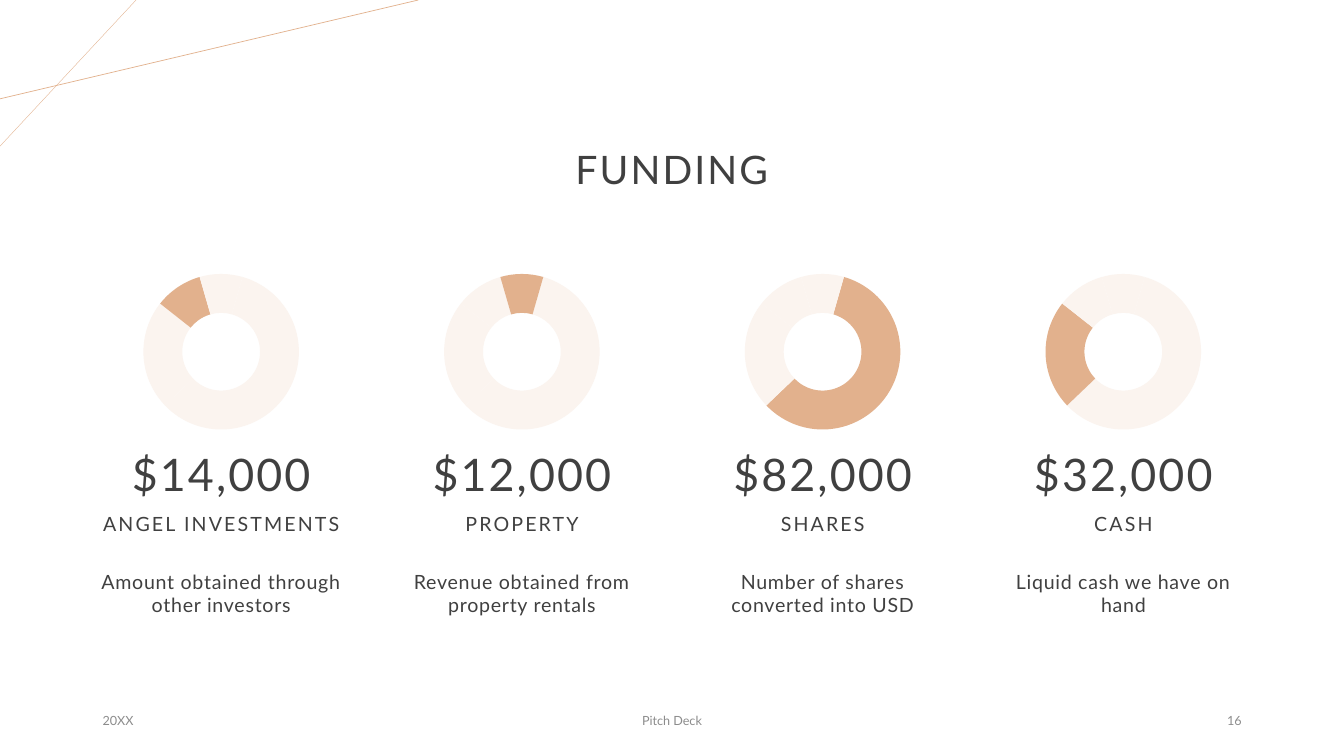
"""Build the Funding slide with four doughnut charts."""
from dataclasses import dataclass

from lxml.etree import SubElement
from pptx import Presentation
from pptx.chart.data import CategoryChartData
from pptx.dml.color import RGBColor
from pptx.enum.chart import XL_CHART_TYPE
from pptx.enum.shapes import MSO_CONNECTOR
from pptx.enum.text import MSO_ANCHOR, MSO_AUTO_SIZE, PP_ALIGN
from pptx.oxml import parse_xml
from pptx.oxml.ns import nsdecls, qn
from pptx.util import Pt


@dataclass(frozen=True)
class Theme:
    font: str = "Lato"
    text: str = "404040"
    muted: str = "8C8C8C"
    accent: str = "E2B18D"
    pale: str = "FBF4EF"
    black: str = "000000"
    title: float = 28
    amount: float = 32
    body: float = 14
    chart: float = 10
    footer: float = 9


class SlideBuilder:
    def __init__(self, slide, theme):
        self.s = slide
        self.theme = theme

    def line(self, start, end, width):
        sp = self.s.shapes.add_connector(
            MSO_CONNECTOR.STRAIGHT, *(Pt(v) for v in (*start, *end)))
        sp.line.color.rgb = RGBColor.from_string(self.theme.accent)
        sp.line.width = Pt(width)
        SubElement(sp._element.spPr, qn("a:effectLst"))

    def set_text(self, sp, box, text, size, color, align=PP_ALIGN.CENTER,
                 anchor=MSO_ANCHOR.MIDDLE, spacing=0, leading=1, before=0, inset=7.2):
        sp.left, sp.top, sp.width, sp.height = (Pt(v) for v in box)
        tf = sp.text_frame
        tf.auto_size = MSO_AUTO_SIZE.NONE
        tf.word_wrap = True
        tf.vertical_anchor = anchor
        tf.margin_left = tf.margin_right = Pt(inset)
        tf.margin_top = tf.margin_bottom = Pt(3.6)
        p = tf.paragraphs[0]
        p.alignment = align
        p.line_spacing = leading
        p.space_before = Pt(before)
        r = p.add_run()
        r.text = text
        r.font.name = self.theme.font
        r.font.size = Pt(size)
        r.font.color.rgb = RGBColor.from_string(color)
        r._r.get_or_add_rPr().set("spc", str(round(spacing * 100)))

    def title(self, box, text):
        self.set_text(self.s.shapes.title, box, text, self.theme.title,
                      self.theme.text, spacing=1.5, leading=0.9)

    def text(self, box, text, size, color, **style):
        sp = self.s.shapes.add_textbox(*(Pt(v) for v in box))
        self.set_text(sp, box, text, size, color, **style)

    def doughnut(self, box, values, highlight):
        data = CategoryChartData()
        data.categories = [str(i + 1) for i in range(len(values))]
        data.add_series("Series 1", values)
        chart = self.s.shapes.add_chart(
            XL_CHART_TYPE.DOUGHNUT, *(Pt(v) for v in box), data).chart
        chart.has_title = False
        chart.has_legend = False
        chart.font.name = self.theme.font
        chart.font.size = Pt(self.theme.chart)
        chart.font.color.rgb = RGBColor.from_string(self.theme.black)
        plot = chart.plots[0]
        for i in range(len(values)):
            fmt = plot.series[0].points[i].format
            color = self.theme.accent if i == highlight else self.theme.pale
            fmt.fill.solid()
            fmt.fill.fore_color.rgb = RGBColor.from_string(color)
            fmt.line.fill.background()
        ring = plot._element
        ring.find(qn("c:firstSliceAng")).set("val", "16")
        ring.find(qn("c:holeSize")).set("val", "80")
        area = ring.getparent()
        for old in area.findall(qn("c:layout")):
            area.remove(old)
        frame = "".join(f'<c:{k} val="{v}"/>' for k, v in (
            ("layoutTarget", "inner"), ("xMode", "edge"), ("yMode", "edge"),
            ("x", 0.12), ("y", 0.07), ("w", 0.76), ("h", 0.85)))
        area.insert(0, parse_xml(
            f'<c:layout {nsdecls("c")}><c:manualLayout>{frame}</c:manualLayout></c:layout>'))


def main():
    prs = Presentation()
    prs.slide_width, prs.slide_height = Pt(960), Pt(540)
    theme = Theme()
    b = SlideBuilder(prs.slides.add_slide(prs.slide_layouts[5]), theme)

    b.line((97.2, 0), (0, 104.4), 0.25)
    b.line((298.8, 0), (0, 70.6), 0.5)
    b.title((148.3, 70.6, 663.1, 104.4), "FUNDING")

    left, pitch, width = 66.2, 214.8, 183.8
    shares = (59, 23, 10, 9)
    sources = (
        ("$14,000", "ANGEL INVESTMENTS", "Amount obtained through other investors", 2),
        ("$12,000", "PROPERTY", "Revenue obtained from property rentals", 3),
        ("$82,000", "SHARES", "Number of shares converted into USD", 0),
        ("$32,000", "CASH", "Liquid cash we have on hand", 1),
    )
    heading = dict(anchor=MSO_ANCHOR.BOTTOM, spacing=1.5, leading=0.9, before=10, inset=0)
    detail = dict(anchor=MSO_ANCHOR.TOP, spacing=0.5, before=10, inset=0)
    for i, (amount, name, note, highlight) in enumerate(sources):
        x = left + i * pitch
        b.doughnut((x + 18.7, 186.5, 146.2, 131), shares, highlight)
        b.text((x, 298.1, width, 63.4), amount, theme.amount, theme.text, **heading)
        b.text((x, 351.4, width, 34.6), name, theme.body, theme.text, **heading)
        b.text((x, 403.2, width, 67), note, theme.body, theme.text, **detail)

    for x, w, text, align in (
        (left, 216, "20XX", PP_ALIGN.LEFT),
        (318, 324, "Pitch Deck", PP_ALIGN.CENTER),
        (678, 216, "16", PP_ALIGN.RIGHT),
    ):
        b.text((x, 500.4, w, 28.8), text, theme.footer, theme.muted, align=align)

    prs.save("out.pptx")


if __name__ == "__main__":
    main()
